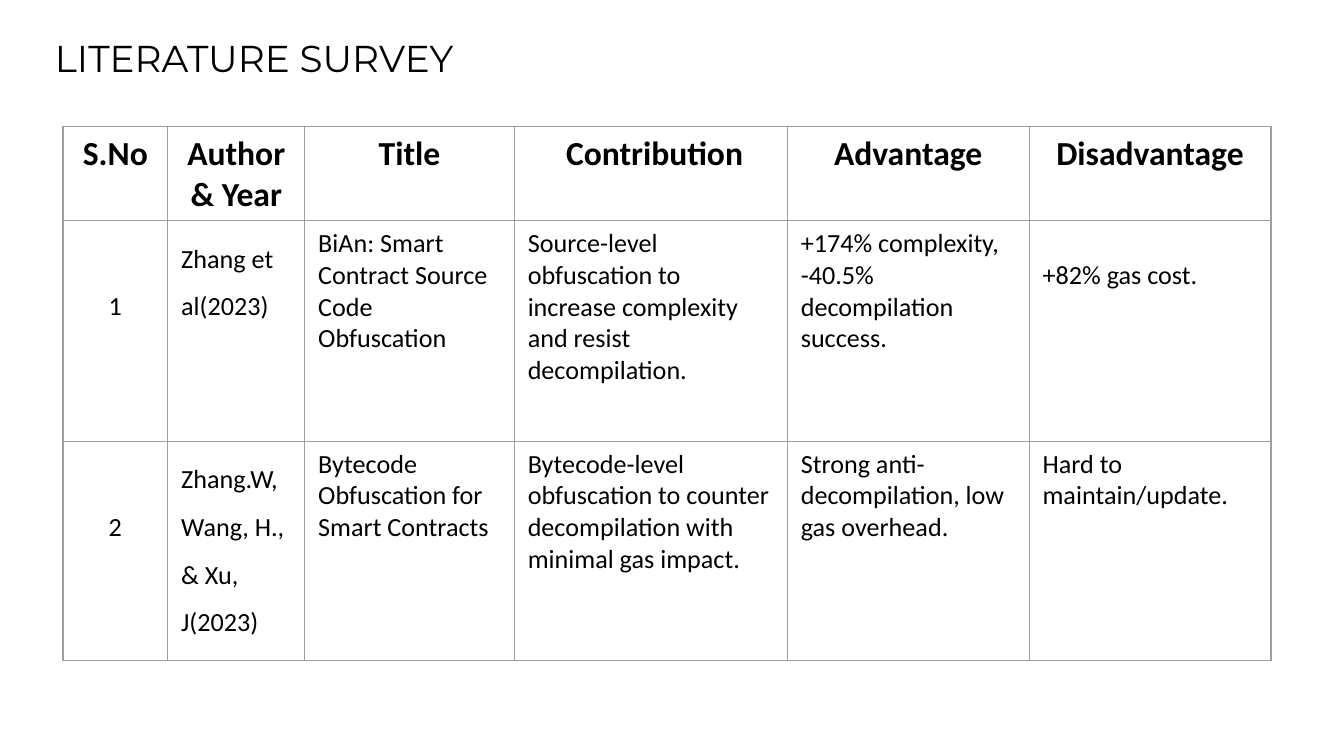
"""Build the literature survey slide."""
import pptx
import pptx.dml.color
import pptx.enum.text
import pptx.oxml
import pptx.oxml.ns
import pptx.util

Cm = pptx.util.Cm
Pt = pptx.util.Pt
ALIGN = pptx.enum.text.PP_ALIGN

COLUMN_WIDTHS = [1.98, 2.59, 3.96, 5.16, 4.57, 4.57]
ROW_HEIGHTS = [1.6, 4.17, 4.14]
LINE_SPACINGS = [2, 1.5, 1, 1, 1, 1]
NORMAL_TOP, LOWERED_TOP = 0.13, 0.73
LOWERED_CELLS = {(1, 0), (2, 0), (1, 5)}
ROWS = [
    ["S.No", "Author & Year", "Title", " Contribution", "Advantage", "Disadvantage"],
    ["1", "Zhang et al(2023)", "BiAn: Smart Contract Source Code Obfuscation",
     "Source-level obfuscation to increase complexity and resist decompilation.",
     "+174% complexity, -40.5% decompilation success.", "+82% gas cost."],
    ["2", "Zhang.W, Wang, H., & Xu, J(2023)", "Bytecode Obfuscation for Smart Contracts",
     "Bytecode-level obfuscation to counter decompilation with minimal gas impact.",
     "Strong anti-decompilation, low gas overhead.", "Hard to maintain/update."],
]


def color(value):
    return pptx.dml.color.RGBColor.from_string(value)


class SurveySlide:
    """Hold the style and the current slide."""

    ink = "000000"
    rule = "9E9E9E"
    title_font = "Montserrat"
    body_font = "Calibri"

    def __init__(self, deck):
        self.page = deck.slides.add_slide(deck.slide_layouts[6])

    def add_span(self, para, text, font, size, bold=False):
        span = para.add_run()
        span.text = text
        span.font.name = font
        span.font.size = Pt(size)
        span.font.bold = bold
        span.font.color.rgb = color(self.ink)

    def title(self, text, left, top, width, height):
        box = self.page.shapes.add_textbox(Cm(left), Cm(top), Cm(width), Cm(height))
        frame = box.text_frame
        frame.word_wrap = True
        frame.margin_left = frame.margin_right = Cm(0.25)
        frame.margin_top = frame.margin_bottom = Cm(0.25)
        self.add_span(frame.paragraphs[0], text, self.title_font, 20)

    def border(self, cell):
        properties = cell._tc.get_or_add_tcPr()
        for side in ("lnL", "lnR", "lnT", "lnB"):
            properties.append(pptx.oxml.parse_xml(
                f'<a:{side} {pptx.oxml.ns.nsdecls("a")} w="{Pt(0.75)}"><a:solidFill>'
                f'<a:srgbClr val="{self.rule}"/></a:solidFill></a:{side}>'))

    def cell(self, cell, text, row, column):
        header = row == 0
        self.border(cell)
        cell.fill.background()
        cell.margin_top = Cm(LOWERED_TOP if (row, column) in LOWERED_CELLS else NORMAL_TOP)
        para = cell.text_frame.paragraphs[0]
        para.alignment = ALIGN.CENTER if header or column == 0 else ALIGN.LEFT
        para.line_spacing = 1.0 if header else float(LINE_SPACINGS[column])
        self.add_span(para, text, self.body_font, 18 if header else 14, header)

    def table(self, rows, left, top):
        table = self.page.shapes.add_table(
            len(rows), len(rows[0]), Cm(left), Cm(top),
            Cm(sum(COLUMN_WIDTHS)), Cm(sum(ROW_HEIGHTS))).table
        table.first_row = table.horz_banding = False
        for column, width in zip(table.columns, COLUMN_WIDTHS):
            column.width = Cm(width)
        for row, height in zip(table.rows, ROW_HEIGHTS):
            row.height = Cm(height)
        for row, texts in enumerate(rows):
            for column, text in enumerate(texts):
                self.cell(table.cell(row, column), text, row, column)


def main():
    deck = pptx.Presentation()
    deck.slide_width, deck.slide_height = Cm(25.4), Cm(14.29)
    survey = SurveySlide(deck)
    survey.title("LITERATURE SURVEY", 0.79, 0.41, 21.41, 1.6)
    survey.table(ROWS, 1.19, 2.39)
    deck.save("out.pptx")


if __name__ == "__main__":
    main()
